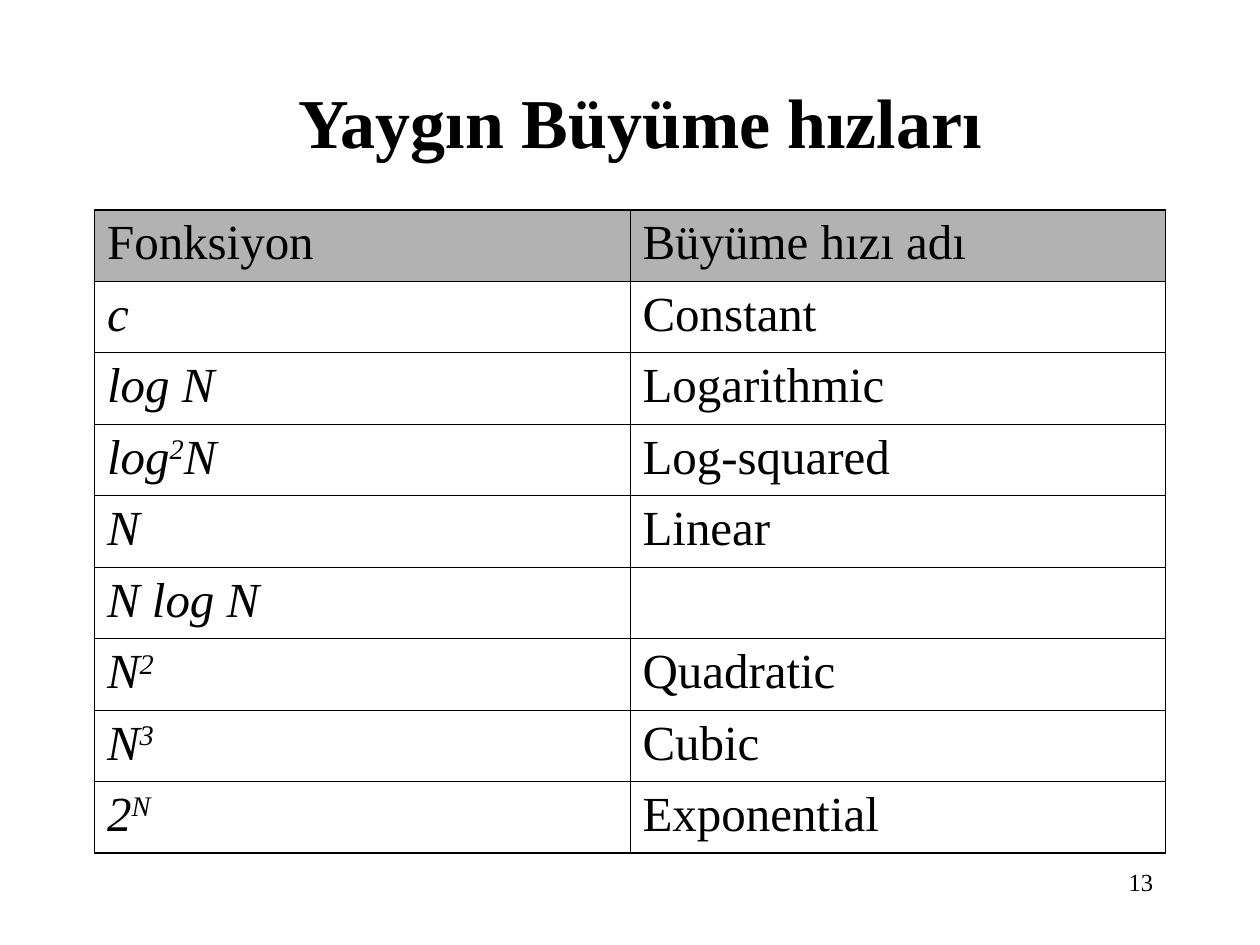
from lxml.etree import SubElement
from pptx import Presentation
from pptx.dml.color import RGBColor
from pptx.enum.text import MSO_ANCHOR, PP_ALIGN
from pptx.oxml.ns import qn
from pptx.util import Inches, Pt

WIDTH, HEIGHT = Inches(10), Inches(7.5)
COLORS = {"ink": "000000", "header": "B2B2B2"}
FONT = "Times New Roman"
OUTER_LINE, INNER_LINE = Pt(1.08), Pt(0.45)
TITLE_FORMAT = {"size": Pt(40), "bold": True}
NUMBER_FORMAT = {"size": Pt(14)}
CELL_FORMAT = {"size": Pt(28)}
FUNCTION_FORMAT = {"size": Pt(28), "italic": True}
GROWTH_RATES = [
    ("Fonksiyon", "Büyüme hızı adı"),
    ("c", "Constant"),
    ("log N", "Logarithmic"),
    ("log^2^N", "Log-squared"),
    ("N", "Linear"),
    ("N log N", ""),
    ("N^2", "Quadratic"),
    ("N^3", "Cubic"),
    ("2^N", "Exponential"),
]


def place(left, top, width, height):
    return [round(share * side) for share, side in
            zip((left, top, width, height), (WIDTH, HEIGHT, WIDTH, HEIGHT))]


def color(name):
    return RGBColor.from_string(COLORS[name])


def write_text(paragraph, text, formats):
    for index, part in enumerate(text.split("^")):
        if not part:
            continue
        run = paragraph.add_run()
        run.text = part
        run.font.name = FONT
        run.font.color.rgb = color("ink")
        for name, value in formats.items():
            setattr(run.font, name, value)
        if index % 2:
            run._r.get_or_add_rPr().set("baseline", "30000")


def add_label(slide, text, area, formats, alignment, anchor):
    frame = slide.shapes.add_textbox(*place(*area)).text_frame
    frame.word_wrap = True
    frame.vertical_anchor = anchor
    frame.paragraphs[0].alignment = alignment
    write_text(frame.paragraphs[0], text, formats)


def add_borders(cell, outer_edges):
    properties = cell._tc.get_or_add_tcPr()
    for edge, outer in outer_edges.items():
        width = OUTER_LINE if outer else INNER_LINE
        line = SubElement(properties, qn(f"a:ln{edge}"), w=str(int(width)))
        fill = SubElement(line, qn("a:solidFill"))
        SubElement(fill, qn("a:srgbClr"), val=COLORS["ink"])


def add_growth_table(slide, rows, area):
    row_count, column_count = len(rows), len(rows[0])
    frame = slide.shapes.add_table(row_count, column_count, *place(*area))
    table = frame.table
    for row_index, row in enumerate(rows):
        for column_index, text in enumerate(row):
            cell = table.cell(row_index, column_index)
            is_header = row_index == 0
            is_function = column_index == 0 and not is_header
            paragraph = cell.text_frame.paragraphs[0]
            paragraph.space_before = Pt(7)
            write_text(paragraph, text, FUNCTION_FORMAT if is_function else CELL_FORMAT)
            add_borders(cell, {
                "L": column_index == 0,
                "R": column_index == column_count - 1,
                "T": is_header,
                "B": row_index == row_count - 1,
            })
            if is_header:
                cell.fill.solid()
                cell.fill.fore_color.rgb = color("header")
            else:
                cell.fill.background()


def main():
    presentation = Presentation()
    presentation.slide_width, presentation.slide_height = WIDTH, HEIGHT
    slide = presentation.slides.add_slide(presentation.slide_layouts[6])
    add_label(slide, "13", (0.717, 0.911, 0.208, 0.067), NUMBER_FORMAT,
              PP_ALIGN.RIGHT, MSO_ANCHOR.TOP)
    add_label(slide, "Yaygın Büyüme hızları", (0.083, 0.067, 0.85, 0.122),
              TITLE_FORMAT, PP_ALIGN.CENTER, MSO_ANCHOR.MIDDLE)
    add_growth_table(slide, GROWTH_RATES, (0.075, 0.222, 0.85, 0.68))
    presentation.save("out.pptx")


main()
